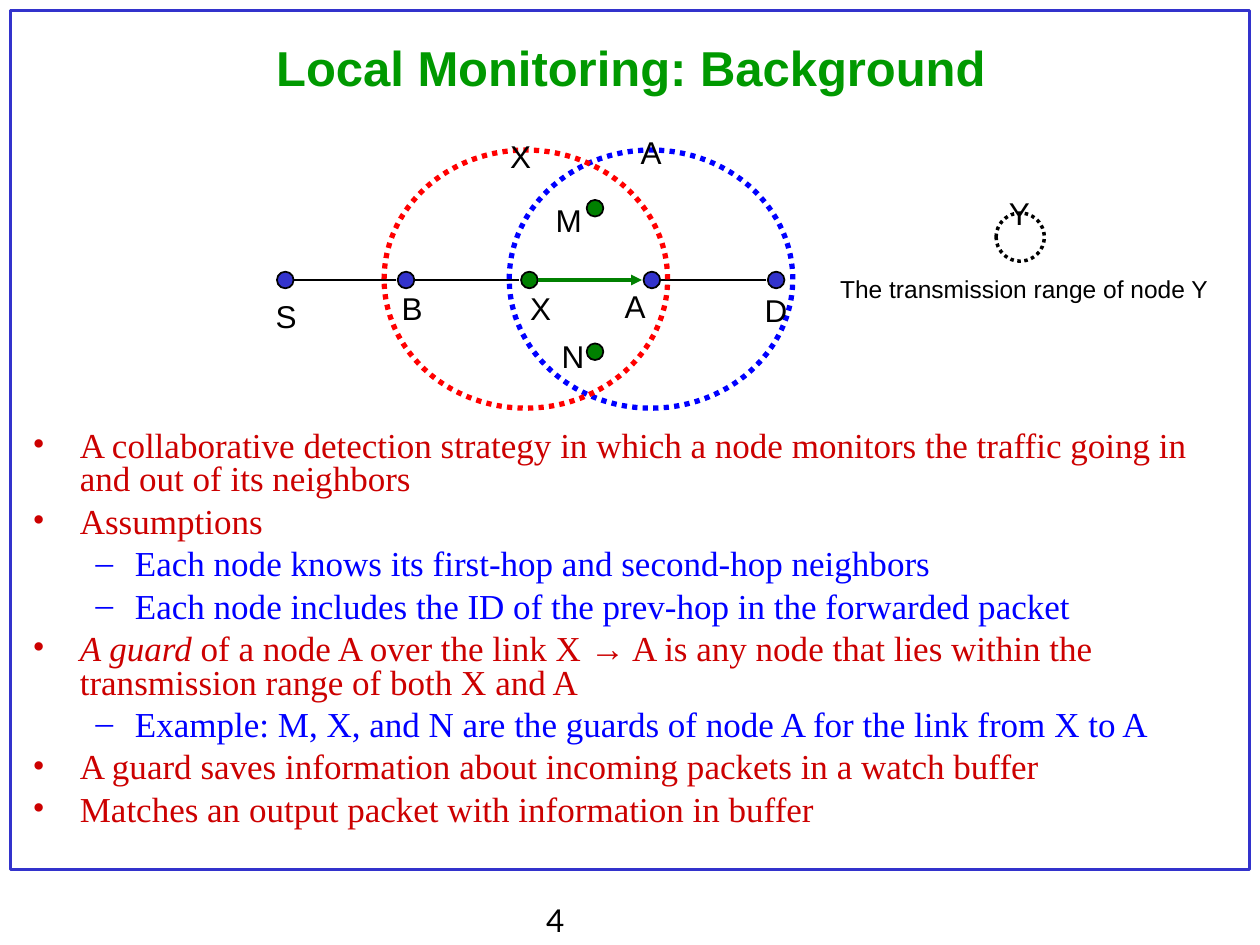
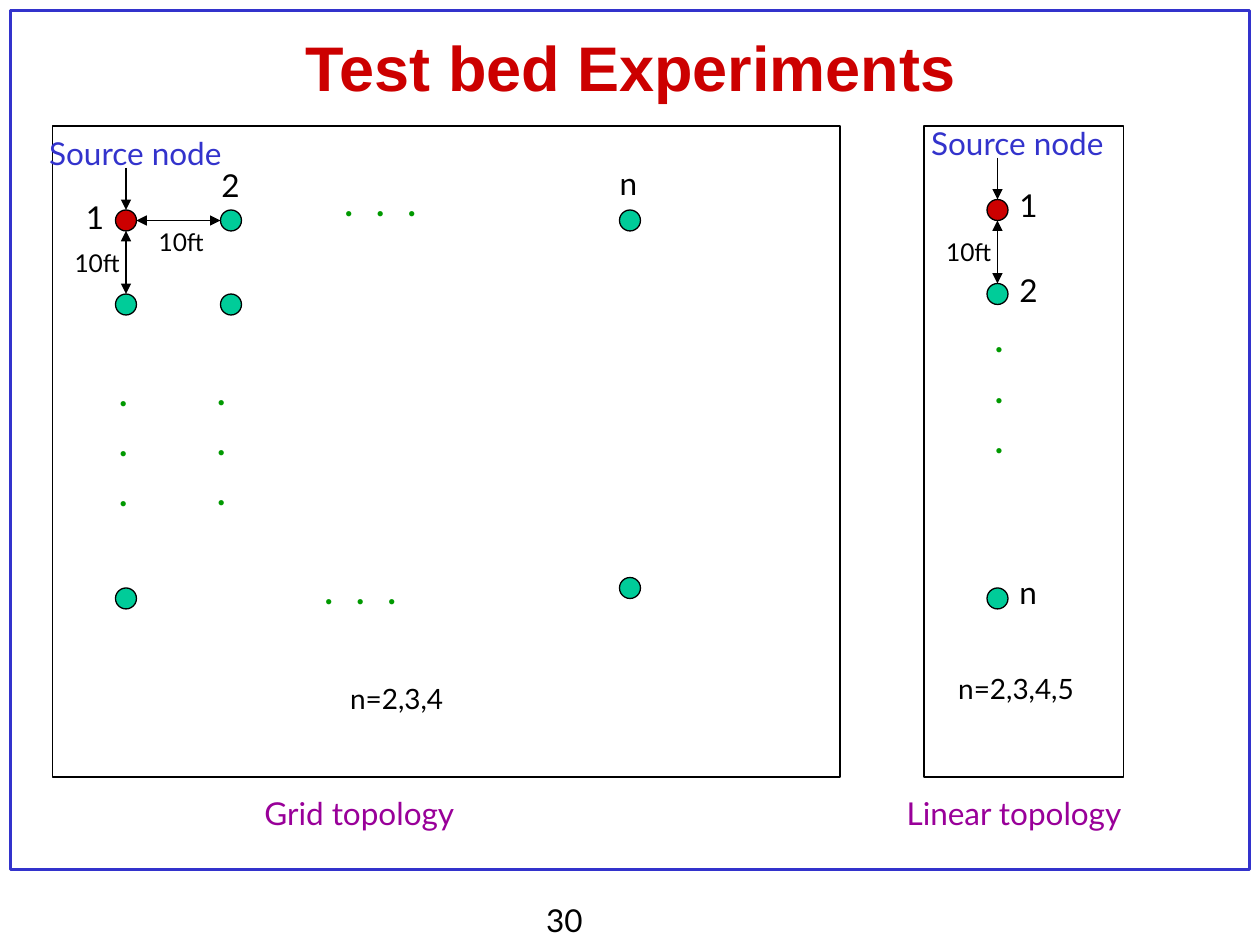
from dataclasses import dataclass
from itertools import pairwise

from lxml import etree
from pptx import Presentation
from pptx.dml.color import RGBColor
from pptx.enum import dml, shapes, text
from pptx.oxml.ns import qn
from pptx.util import Pt


@dataclass(frozen=True)
class Theme:
    blue: str = "3333CC"
    bright_blue: str = "0000FF"
    green: str = "009900"
    dark_green: str = "008000"
    teal: str = "00CC99"
    red: str = "CC0000"
    bright_red: str = "FF0000"
    purple: str = "990099"
    black: str = "000000"
    sans: str = "Arial"
    label: str = "Lato"
    serif: str = "Times New Roman"
    note_size: int = 14
    formula_size: int = 16
    label_size: int = 18
    body_size: int = 20
    dots_size: int = 24
    title_size: int = 28
    large_title_size: int = 36


class Deck:
    """Holds the style and the current slide."""

    def __init__(self, theme):
        self.t = theme
        self.prs = Presentation()
        self.prs.slide_width, self.prs.slide_height = Pt(720), Pt(540)
        self.s = None

    def slide(self, title, color, size, number):
        """Start a slide with its title, frame and page number."""
        self.s = self.prs.slides.add_slide(self.prs.slide_layouts[5])
        sp = self.s.shapes.title
        sp.left, sp.top, sp.width, sp.height = Pt(17), Pt(17), Pt(687), Pt(42)
        tf = sp.text_frame
        tf.text = title
        tf.auto_size = text.MSO_AUTO_SIZE.NONE
        tf.vertical_anchor = text.MSO_ANCHOR.MIDDLE
        p = tf.paragraphs[0]
        p.alignment = text.PP_ALIGN.CENTER
        self.font(p.runs[0], size, color, self.t.sans, bold=True)
        self.outline("RECTANGLE", 6, 6, 708, 491, self.t.blue, 1.5)
        self.text(number, 305, 511.5, 102, 32, wrap=True)

    def font(self, r, size, color, name, bold=False, italic=False):
        f = r.font
        f.size, f.name, f.bold, f.italic = Pt(size), name, bold, italic
        f.color.rgb = RGBColor.from_string(color)

    def outline(self, kind, x, y, w, h, color, weight, fill=None, dotted=False):
        sp = self.s.shapes.add_shape(
            shapes.MSO_SHAPE[kind], Pt(x), Pt(y), Pt(w), Pt(h))
        sp.shadow.inherit = False
        if fill:
            sp.fill.solid()
            sp.fill.fore_color.rgb = RGBColor.from_string(fill)
        else:
            sp.fill.background()
        sp.line.color.rgb = RGBColor.from_string(color)
        sp.line.width = Pt(weight)
        if dotted:
            sp.line.dash_style = dml.MSO_LINE.ROUND_DOT

    def node(self, cx, cy, size, fill, weight):
        self.outline("OVAL", cx - size / 2, cy - size / 2, size, size,
                     self.t.black, weight, fill)

    def ring(self, cx, cy, w, h, color, weight):
        """A dotted transmission range around a centre."""
        self.outline("OVAL", cx - w / 2, cy - h / 2, w, h, color, weight, dotted=True)

    def line(self, x1, y1, x2, y2, color=None, weight=0.75, head=False, tail=False):
        c = self.s.shapes.add_connector(
            shapes.MSO_CONNECTOR.STRAIGHT, Pt(x1), Pt(y1), Pt(x2), Pt(y2))
        c.line.color.rgb = RGBColor.from_string(color or self.t.black)
        c.line.width = Pt(weight)
        ln = c.line._get_or_add_ln()
        for tag, wanted in (("a:headEnd", head), ("a:tailEnd", tail)):
            if wanted:
                etree.SubElement(ln, qn(tag), type="triangle")
        etree.SubElement(c._element.spPr, qn("a:effectLst"))

    def text(self, content, x, y, w, h, size=None, color=None, name=None,
             wrap=False, center=False, tabs=()):
        sp = self.s.shapes.add_textbox(Pt(x), Pt(y), Pt(w), Pt(h))
        tf = sp.text_frame
        tf.text = content
        tf.word_wrap = wrap
        tf.auto_size = text.MSO_AUTO_SIZE.SHAPE_TO_FIT_TEXT
        for p in tf.paragraphs:
            if center:
                p.alignment = text.PP_ALIGN.CENTER
            if tabs:
                stops = etree.SubElement(p._p.get_or_add_pPr(), qn("a:tabLst"))
                for pos in tabs:
                    etree.SubElement(stops, qn("a:tab"), pos=str(Pt(pos)), algn="l")
            for r in p.runs:
                self.font(r, size or self.t.label_size, color or self.t.black,
                          name or self.t.label)

    def letter(self, content, cx, cy):
        self.text(content, cx - 16.2, cy - 14.4, 32.4, 28.8,
                  name=self.t.sans, wrap=True, center=True)

    def distance(self, x, y):
        self.text("10ft", x, y, 48, 24.5, self.t.note_size, wrap=True)

    def dots_across(self, x, y):
        self.text(".\t.\t.", x, y, 58, 36, self.t.dots_size, self.t.green,
                  tabs=(18, 36))

    def dots_down(self, x, y):
        self.text(".\n.\n.", x, y, 21, 93.6, self.t.dots_size, self.t.green)

    def bullets(self, items, x, y, w, h):
        """Items are (level, runs); a run is (text, font changes)."""
        levels = (("•", self.t.red, 27, -27), ("–", self.t.bright_blue, 58.5, -22.5))
        tf = self.s.shapes.add_textbox(Pt(x), Pt(y), Pt(w), Pt(h)).text_frame
        tf.word_wrap = True
        for i, (level, runs) in enumerate(items):
            mark, color, margin, indent = levels[level]
            p = tf.add_paragraph() if i else tf.paragraphs[0]
            p.level = level
            p.line_spacing = 0.8
            p.space_before = Pt(5 if i else 0)
            pPr = p._p.get_or_add_pPr()
            pPr.set("marL", str(Pt(margin)))
            pPr.set("indent", str(Pt(indent)))
            clr = etree.SubElement(pPr, qn("a:buClr"))
            etree.SubElement(clr, qn("a:srgbClr"), val=color)
            etree.SubElement(pPr, qn("a:buFont"), typeface=self.t.serif)
            etree.SubElement(pPr, qn("a:buChar"), char=mark)
            for content, changes in runs:
                r = p.add_run()
                r.text = content
                self.font(r, self.t.body_size, color,
                          **{"name": self.t.serif, **changes})


def monitoring_slide(d):
    t = d.t
    d.slide("Local Monitoring: Background", t.green, t.title_size, "4")

    # Route S-B-X-A-D, with the guards M and N
    size, route_y = 9.5, 160
    route = {"S": 163, "B": 232, "X": 302.5, "A": 372.5, "D": 443.5}
    for name, cx in route.items():
        d.node(cx, route_y, size, t.dark_green if name == "X" else t.blue, 1)
    for cy in (119, 201):
        d.node(340, cy, size, t.dark_green, 1)
    for start, end in pairwise(route):
        watched = start == "X"
        d.line(route[start] + size / 2, route_y, route[end] - size / 2 - 1, route_y,
               t.dark_green if watched else t.black, 2 if watched else 1,
               tail=watched)

    # Transmission ranges
    d.ring(372, 159.5, 162, 147.5, t.bright_blue, 3)
    d.ring(300.5, 159.5, 162, 147.5, t.bright_red, 3)
    d.ring(583, 135.5, 27.5, 27.5, t.black, 2)

    # Letters for nodes, then for ranges
    for name, cx, cy in (
            ("S", 163.5, 180.5), ("D", 443.5, 177), ("B", 235.5, 176),
            ("X", 309, 176), ("M", 325, 125.5), ("N", 327.5, 203.5), ("A", 363, 175),
            ("A", 372, 87), ("X", 297.5, 89), ("Y", 582.5, 121.5)):
        d.letter(name, cx, cy)
    d.text("The transmission range of node Y", 473, 153, 230, 24.5,
           t.note_size, name=t.sans, wrap=True)

    # Explanation
    d.bullets([
        (0, [("A collaborative detection strategy in which a node monitors the "
              "traffic going in and out of its neighbors", {})]),
        (0, [("Assumptions", {})]),
        (1, [("Each node knows its first-hop and second-hop neighbors", {})]),
        (1, [("Each node includes the ID of the prev-hop in the forwarded packet", {})]),
        (0, [("A guard", {"italic": True}),
             (" of a node A over the link X ", {}),
             ("→", {"name": t.sans}),
             (" A is any node that lies within the transmission range of both "
              "X and A", {})]),
        (1, [("Example: M, X, and N are the guards of node A for the link from "
              "X to A", {})]),
        (0, [("A guard saves information about incoming packets in a watch buffer", {})]),
        (0, [("Matches an output packet with information in buffer", {})]),
    ], 11.5, 243, 688, 253)


def test_bed_slide(d):
    t = d.t
    d.slide("Test bed Experiments", t.red, t.large_title_size, "30")
    size = 12
    rad = size / 2

    # Panels with captions
    for x, w, caption, caption_x, caption_w in (
            (30, 450, "Grid topology", 144, 130),
            (528, 114, "Linear topology", 511, 147)):
        d.outline("RECTANGLE", x, 72, w, 372, t.black, 0.75)
        d.text(caption, caption_x, 450, caption_w, 29, color=t.purple)

    # Nodes: the first of each topology is the source
    grid = [(72, 126), (132, 126), (360, 126), (72, 174), (132, 174),
            (72, 342), (360, 336)]
    linear = [(570, 120), (570, 168), (570, 342)]
    for nodes in (grid, linear):
        for i, (cx, cy) in enumerate(nodes):
            d.node(cx, cy, size, t.teal if i else t.red, 0.75)

    # Source arrows and 10ft spacing down each first column
    for (cx, cy), label_x, label_y in ((grid[0], 21, 73), (linear[0], 525, 67.5)):
        d.line(cx, cy - rad - 24, cx, cy - rad, tail=True)
        d.text("Source node", label_x, label_y, 120, 29, color=t.blue)
        d.line(cx, cy + rad, cx, cy + 48 - rad, head=True, tail=True)
        d.distance(cx - 36.5, cy + 12)
    d.line(72 + rad, 126, 132 - rad, 126, head=True, tail=True)
    d.distance(83.5, 126)

    # Continuation dots
    for x, y in ((189.5, 96), (178, 318)):
        d.dots_across(x, y)
    for x, y in ((60.5, 204.5), (116.5, 204), (561, 174)):
        d.dots_down(x, y)

    # Node numbers and ranges of n
    for label, x, y in (("1", 42, 109.5), ("2", 119.5, 91.5), ("n", 347, 90),
                        ("1", 575.5, 102.5), ("2", 575.5, 151.5), ("n", 575.5, 324)):
        d.text(label, x, y, 25, 29)
    d.text("n=2,3,4", 193, 386, 69, 26.5, t.formula_size)
    d.text("n=2,3,4,5", 540.5, 380, 83, 26.5, t.formula_size)


def main():
    d = Deck(Theme())
    monitoring_slide(d)
    test_bed_slide(d)
    d.prs.save("out.pptx")


if __name__ == "__main__":
    main()
